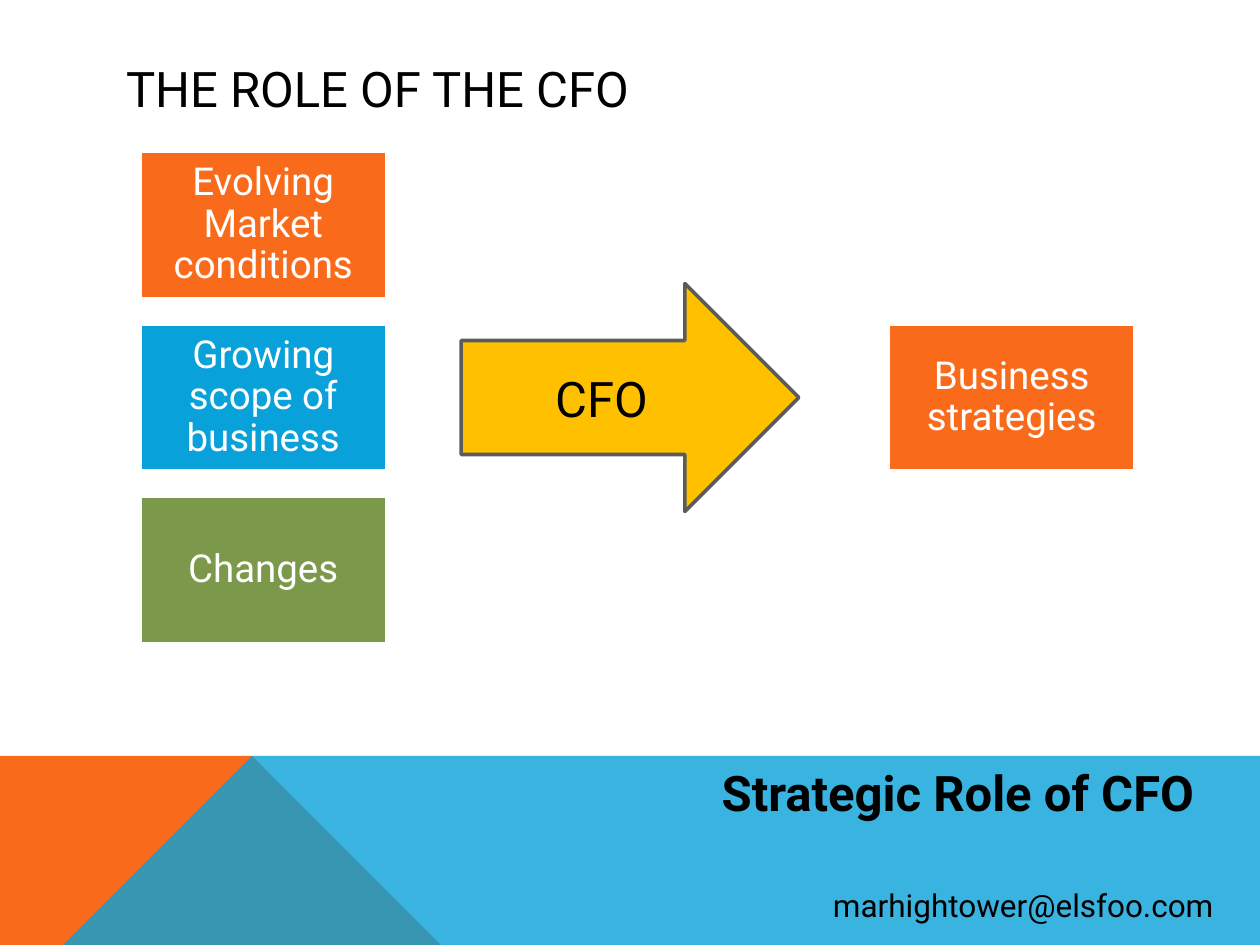
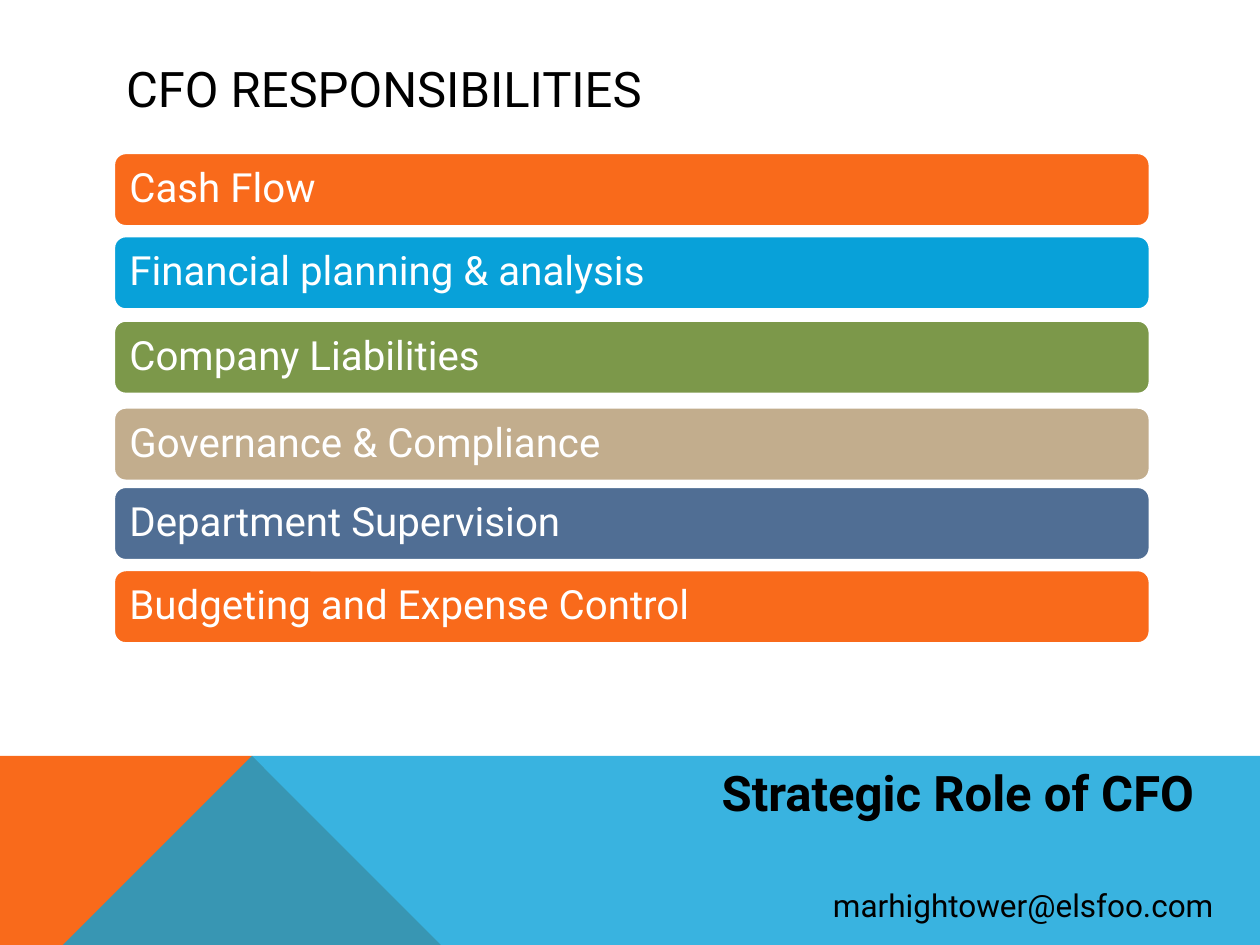
from lxml import etree
from pptx import Presentation
from pptx.dml.color import RGBColor
from pptx.enum.shapes import MSO_SHAPE
from pptx.enum.text import MSO_ANCHOR, MSO_AUTO_SIZE, PP_ALIGN
from pptx.oxml.ns import qn
from pptx.util import Inches, Pt

RECT, ROUNDED, ARROW = MSO_SHAPE.RECTANGLE, MSO_SHAPE.ROUNDED_RECTANGLE, MSO_SHAPE.RIGHT_ARROW
LEFT, CENTER, RIGHT = PP_ALIGN.LEFT, PP_ALIGN.CENTER, PP_ALIGN.RIGHT
TOP, MIDDLE = MSO_ANCHOR.TOP, MSO_ANCHOR.MIDDLE
GROW = MSO_AUTO_SIZE.SHAPE_TO_FIT_TEXT

FONT = "Roboto"
BLACK = RGBColor(0x00, 0x00, 0x00)
WHITE = RGBColor(0xFF, 0xFF, 0xFF)
ORANGE = RGBColor(0xF9, 0x6A, 0x1B)
BLUE = RGBColor(0x08, 0xA1, 0xD9)
GREEN = RGBColor(0x7C, 0x98, 0x4A)
TAN = RGBColor(0xC2, 0xAD, 0x8D)
SLATE = RGBColor(0x50, 0x6E, 0x94)
GOLD = RGBColor(0xFF, 0xC0, 0x00)
GREY = RGBColor(0x5A, 0x5B, 0x5D)


def write(frame, text, size=28, color=BLACK, bold=False, align=LEFT,
          anchor=MIDDLE, spacing=1.0, inset=None, wrap=True):
    frame.word_wrap = wrap
    frame.vertical_anchor = anchor
    if inset is not None:
        frame.margin_left = frame.margin_right = Inches(inset)
        frame.margin_top = frame.margin_bottom = Inches(inset)
    paragraph = frame.paragraphs[0]
    paragraph.alignment = align
    paragraph.line_spacing = spacing
    run = paragraph.add_run()
    run.text = text
    run.font.name = FONT
    run.font.size = Pt(size)
    run.font.bold = bold
    run.font.color.rgb = color


def add_block(slide, kind, left, top, width, height, fill, text, line=WHITE, **text_format):
    block = slide.shapes.add_shape(kind, Inches(left), Inches(top), Inches(width), Inches(height))
    block.shadow.inherit = False
    block.fill.solid()
    block.fill.fore_color.rgb = fill
    block.line.color.rgb = line
    block.line.width = Pt(2)
    write(block.text_frame, text, **text_format)


prs = Presentation()
prs.slide_width, prs.slide_height = Inches(10), Inches(7.5)
title_only = prs.slide_layouts[5]

# Shared parts: bottom bands, title, footers
BANDS = [
    (ORANGE, 100, [(0, 7.5), (0, 5.52), (2.23, 5.52), (3.91, 7.5)]),
    (BLUE, 80, [(0, 7.5), (2.23, 5.52), (10, 5.53), (10, 7.5)]),
]
FOOTERS = [
    ("marhightower@elsfoo.com", (6.34, 6.98, 3.39, 0.4), dict(size=18, align=RIGHT)),
    ("Strategic Role of CFO", (5.63, 6, 4.26, 0.57), dict(bold=True, wrap=False)),
]
for heading in ("THE ROLE OF THE CFO", "CFO RESPONSIBILITIES"):
    slide = prs.slides.add_slide(title_only)
    for color, opacity, points in BANDS:
        outline = slide.shapes.build_freeform(*points[0], scale=Inches(1))
        outline.add_line_segments(points[1:], close=True)
        band = outline.convert_to_shape()
        band.shadow.inherit = False
        band.line.fill.background()
        band.fill.solid()
        band.fill.fore_color.rgb = color
        if opacity < 100:
            rgb = band.fill._xPr.find(qn("a:solidFill"))[0]
            etree.SubElement(rgb, qn("a:alpha")).set("val", str(opacity * 1000))

    title = slide.shapes.title
    title.left, title.top = Inches(0.9), Inches(0.4)
    title.width, title.height = Inches(8.22), Inches(0.6)
    write(title.text_frame, heading)

    for text, place, text_format in FOOTERS:
        footer = slide.shapes.add_textbox(*map(Inches, place))
        write(footer.text_frame, text, anchor=TOP, **text_format)
        footer.text_frame.auto_size = GROW

role_slide, duties_slide = prs.slides

# Slide 1: drivers on the left, CFO arrow, outcome on the right
DRIVER_TOP, DRIVER_PITCH = 1.2, 1.37
DRIVER_LEFT, OUTCOME_LEFT = 1.11, 7.05
factors = [
    ("Evolving Market conditions", DRIVER_LEFT, 0, ORANGE),
    ("Growing scope of business", DRIVER_LEFT, 1, BLUE),
    ("Changes", DRIVER_LEFT, 2, GREEN),
    ("Business strategies", OUTCOME_LEFT, 1, ORANGE),
]
for text, left, row, color in factors:
    add_block(role_slide, RECT, left, DRIVER_TOP + row * DRIVER_PITCH, 1.96, 1.17, color, text,
              size=22, color=WHITE, align=CENTER, spacing=0.9, inset=0.09)
add_block(role_slide, ARROW, 3.66, 2.25, 2.68, 1.81, GOLD, "CFO", line=GREY, align=CENTER)

# Slide 2: one bar for each responsibility
duties = [
    ("Cash Flow", 1.21, ORANGE),
    ("Financial planning & analysis", 1.87, BLUE),
    ("Company Liabilities", 2.54, GREEN),
    ("Governance & Compliance", 3.23, TAN),
    ("Department Supervision", 3.86, SLATE),
    ("Budgeting and Expense Control", 4.52, ORANGE),
]
for text, top, color in duties:
    add_block(duties_slide, ROUNDED, 0.9, top, 8.23, 0.59, color, text,
              size=23, color=WHITE, spacing=0.9, inset=0.1)

prs.save("out.pptx")
